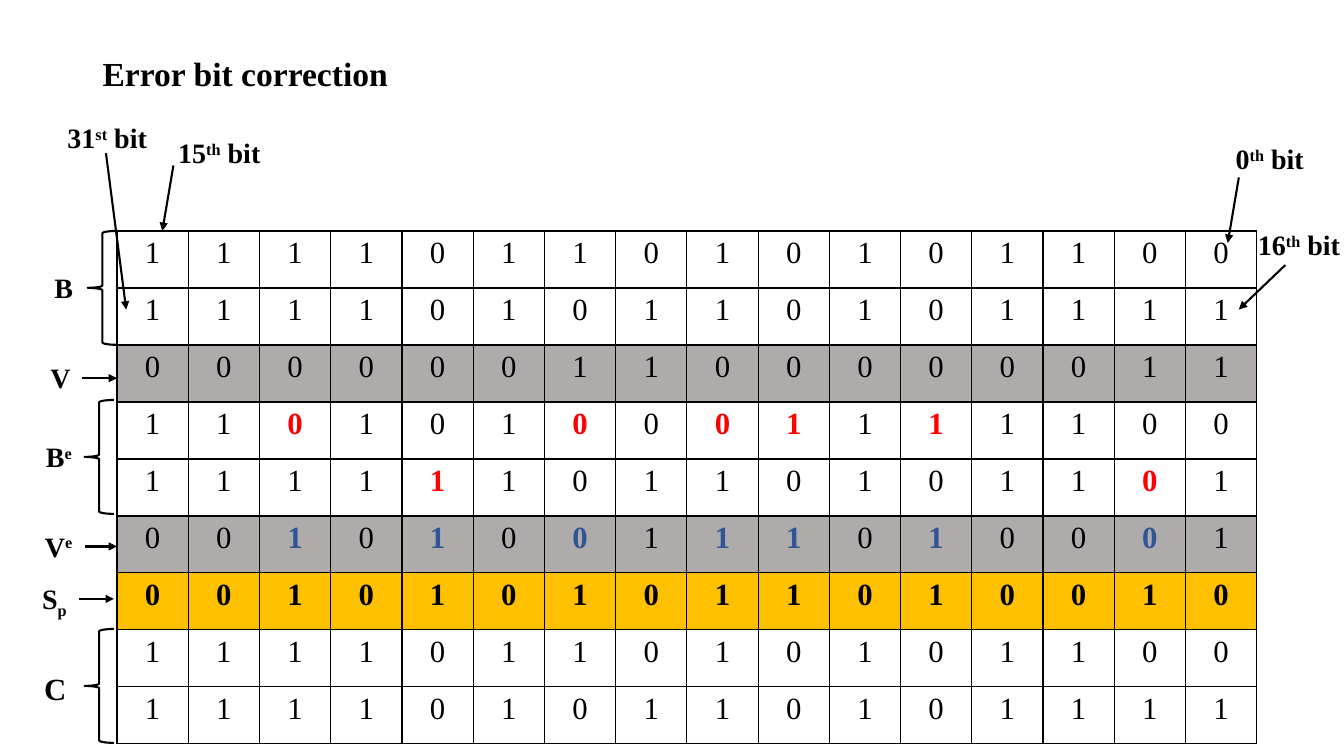
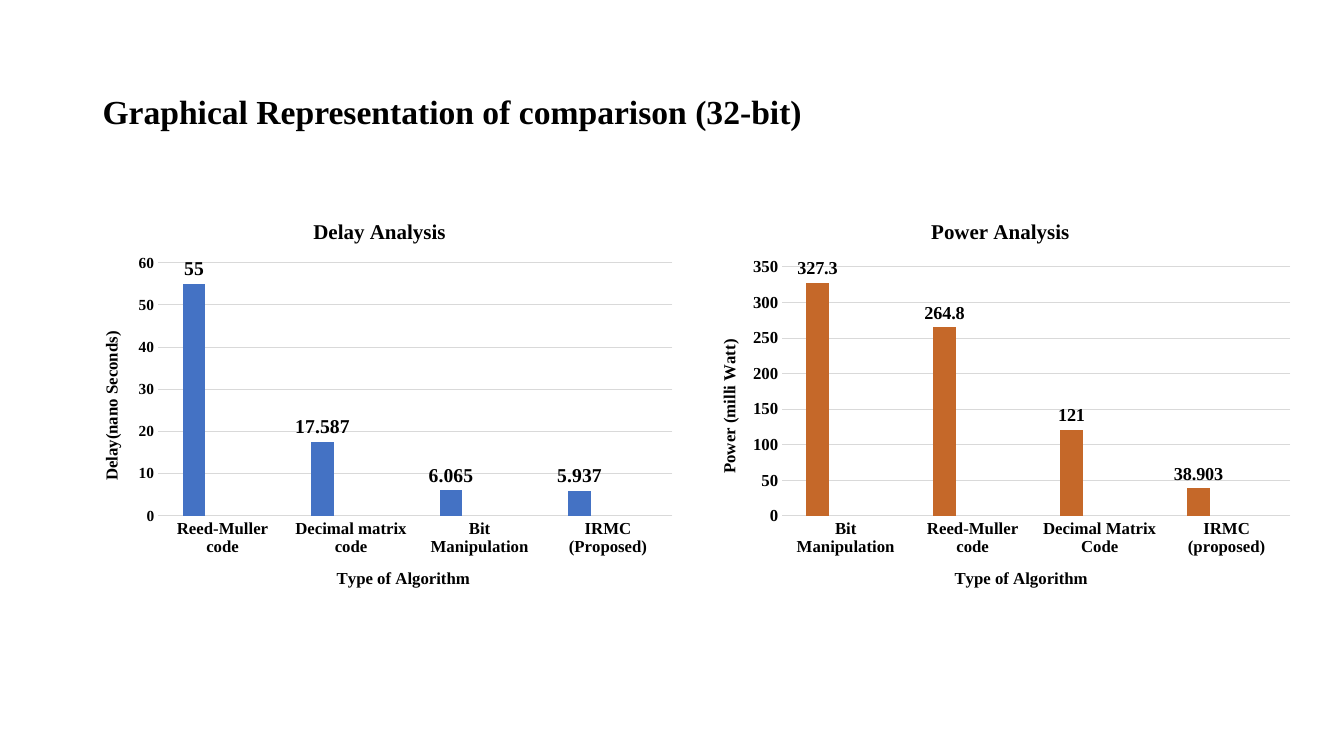
from dataclasses import dataclass

from pptx import Presentation
from pptx.chart.data import CategoryChartData
from pptx.dml.color import RGBColor
from pptx.enum.chart import XL_CHART_TYPE as CHART, XL_LABEL_POSITION as LABEL, XL_TICK_MARK as TICK
from pptx.enum.shapes import MSO_CONNECTOR as LINE, MSO_SHAPE as SHAPE
from pptx.enum.text import MSO_ANCHOR as ANCHOR, MSO_AUTO_SIZE as AUTO, PP_ALIGN as ALIGN
from pptx.oxml import parse_xml
from pptx.oxml.ns import nsdecls, qn
from pptx.util import Cm, Pt


@dataclass(frozen=True)
class Theme:
    font: str = "Times New Roman"
    chart_font: str = "Calibri"
    ink: str = "000000"
    parity: str = "AFABAB"
    syndrome: str = "FFC000"
    error: str = "FF0000"
    changed: str = "2F5597"
    grid: str = "D9D9D9"
    delay: str = "4472C4"
    power: str = "C56829"
    spare: tuple = ("ED7D31", "A5A5A5")
    title: int = 24
    cell: int = 22
    label: int = 20
    chart_title: int = 15
    axis: int = 12
    chart_base: int = 10
    stroke: float = 1.5
    border: float = 1
    hairline: float = 0.75


def rgb(value):
    return RGBColor.from_string(value)


def set_layout(parent, index, x, y, w=None, h=None):
    for old in parent.findall(qn("c:layout")):
        parent.remove(old)
    inner = '<c:layoutTarget val="inner"/>' if w else ""
    size = f'<c:w val="{w}"/><c:h val="{h}"/>' if w else ""
    parent.insert(index, parse_xml(
        f'<c:layout {nsdecls("c")}><c:manualLayout>{inner}<c:xMode val="edge"/>'
        f'<c:yMode val="edge"/><c:x val="{x}"/><c:y val="{y}"/>{size}'
        '</c:manualLayout></c:layout>'))


class Deck:
    def __init__(self, theme):
        self.theme = theme
        self.prs = Presentation()
        self.prs.slide_width, self.prs.slide_height = Cm(33.87), Cm(19.05)
        self.slide = None

    def style(self, font, size, color=None, bold=True):
        font.name, font.size, font.bold = self.theme.font, Pt(size), bold
        font.color.rgb = rgb(color or self.theme.ink)

    def new_slide(self, title, top, height):
        self.slide = self.prs.slides.add_slide(self.prs.slide_layouts[5])
        sp = self.slide.shapes.title
        sp.left, sp.top, sp.width, sp.height = Cm(2.33), Cm(top), Cm(29.21), Cm(height)
        tf = sp.text_frame
        tf.text = title
        tf.word_wrap, tf.auto_size, tf.vertical_anchor = True, AUTO.NONE, ANCHOR.MIDDLE
        p = tf.paragraphs[0]
        p.alignment, p.line_spacing = ALIGN.LEFT, 0.9
        self.style(p.runs[0].font, self.theme.title)

    def label(self, x, y, w, parts, size=None):
        size = size or self.theme.label
        box = self.slide.shapes.add_textbox(Cm(x), Cm(y), Cm(w), Cm(1.12))
        tf = box.text_frame
        tf.word_wrap, tf.auto_size = False, AUTO.SHAPE_TO_FIT_TEXT
        for text, baseline in parts:
            r = tf.paragraphs[0].add_run()
            r.text = text
            self.style(r.font, size)
            if baseline:
                r._r.get_or_add_rPr().set("baseline", str(baseline * 1000))
        return box

    def arrow(self, start, end, source=None):
        line = self.slide.shapes.add_connector(LINE.STRAIGHT, *map(Cm, start + end))
        if source is not None:
            line.begin_connect(source, 3)
        line.line.color.rgb = rgb(self.theme.ink)
        line.line.width = Pt(self.theme.stroke)
        line.line._get_or_add_ln().append(parse_xml(f'<a:tailEnd {nsdecls("a")} type="triangle"/>'))
        line._element.spPr.append(parse_xml(f'<a:effectLst {nsdecls("a")}/>'))

    def brace(self, x, y):
        sp = self.slide.shapes.add_shape(SHAPE.LEFT_BRACE, Cm(x), Cm(y), Cm(0.74), Cm(2.87))
        sp.shadow.inherit = False
        sp.fill.background()
        sp.line.color.rgb = rgb(self.theme.ink)
        sp.line.width = Pt(self.theme.stroke)

    def bit_table(self, x, y, w, h, rows):
        count = len(rows[0][0])
        table = self.slide.shapes.add_table(len(rows), count, Cm(x), Cm(y), Cm(w), Cm(h)).table
        table.first_row = table.horz_banding = False
        for column in table.columns:
            column.width = Cm(w / count)
        for i, (bits, fill, marks, mark_color, bold) in enumerate(rows):
            table.rows[i].height = Cm(h / len(rows))
            for j, bit in enumerate(bits):
                marked = j in marks
                self.bit_cell(table.cell(i, j), bit, fill,
                              mark_color if marked else self.theme.ink, bold or marked)

    def bit_cell(self, cell, bit, fill, color, bold):
        cell.text_frame.text = bit
        p = cell.text_frame.paragraphs[0]
        p.alignment = ALIGN.CENTER
        self.style(p.runs[0].font, self.theme.cell, color, bold)
        tcPr = cell._tc.get_or_add_tcPr()
        for side in ("lnL", "lnR", "lnT", "lnB"):
            tcPr.append(parse_xml(
                f'<a:{side} {nsdecls("a")} w="{Pt(self.theme.border)}"><a:solidFill>'
                f'<a:srgbClr val="{self.theme.ink}"/></a:solidFill></a:{side}>'))
        if fill:
            cell.fill.solid()
            cell.fill.fore_color.rgb = rgb(fill)
        else:
            cell.fill.background()

    def chart_text(self, title, text, size, place):
        title.text_frame.text = text
        self.style(title.text_frame.paragraphs[0].runs[0].font, size)
        set_layout(title._element, 1, *place)

    def column_chart(self, x, title, unit, points, color, top, step,
                     label_size, tick_size, plot, places):
        t = self.theme
        data = CategoryChartData()
        data.categories = list(points)
        data.add_series("Series 1", list(points.values()))
        for n in (2, 3):
            data.add_series(f"Series {n}", [None] * len(points))
        chart = self.slide.shapes.add_chart(
            CHART.COLUMN_CLUSTERED, Cm(x), Cm(5.08), Cm(15.24), Cm(10.29), data).chart
        chart.font.name, chart.font.size = t.chart_font, Pt(t.chart_base)
        chart.font.color.rgb = rgb(t.ink)
        chart.has_legend = False
        chart.has_title = True
        bars = chart.plots[0]
        bars.gap_width, bars.overlap, bars.vary_by_categories = 219, -27, False
        for series, fill in zip(bars.series, (color, *t.spare)):
            series.format.fill.solid()
            series.format.fill.fore_color.rgb = rgb(fill)
        labels = bars.series[0].data_labels
        labels.show_value, labels.position = True, LABEL.OUTSIDE_END
        self.style(labels.font, label_size)

        cat, val = chart.category_axis, chart.value_axis
        val.minimum_scale, val.maximum_scale, val.major_unit = 0, top, step
        val.has_major_gridlines = True
        for axis, size in ((cat, t.axis), (val, tick_size)):
            axis.major_tick_mark = axis.minor_tick_mark = TICK.NONE
            self.style(axis.tick_labels.font, size)
        for line in (cat.format.line, val.major_gridlines.format.line):
            line.color.rgb = rgb(t.grid)
            line.width = Pt(t.hairline)
        val.format.line.fill.background()
        titles = ((chart.chart_title, title, t.chart_title),
                  (cat.axis_title, "Type of Algorithm", t.axis),
                  (val.axis_title, unit, t.axis))
        for (item, text, size), place in zip(titles, places):
            self.chart_text(item, text, size, place)
        body = val.axis_title.text_frame._txBody.bodyPr
        body.set("rot", "-5400000")
        body.set("vert", "horz")
        set_layout(chart._chartSpace.chart.plotArea, 0, *plot)


def xor(a, b):
    return "".join(str(int(m != n)) for m, n in zip(a, b))


def ones(bits):
    return {i for i, bit in enumerate(bits) if bit == "1"}


def correction_slide(deck):
    t = deck.theme
    deck.new_slide("Error bit correction", 0.46, 2.87)
    sent = ["1111011010101100", "1111010110101111"]
    received = ["1101010001111100", "1111110110101101"]
    parity, received_parity = xor(*sent), xor(*received)
    syndrome = xor(parity, received_parity)
    plain = [(bits, None, (), t.ink, False) for bits in sent]
    errors = [(bits, None, ones(xor(bits, good)), t.error, False)
              for bits, good in zip(received, sent)]
    left, top = 2.95, 5.82
    deck.bit_table(left, top, 28.73, 12.93, [
        *plain,
        (parity, t.parity, (), t.ink, False),
        *errors,
        (received_parity, t.parity, ones(syndrome), t.changed, False),
        (syndrome, t.syndrome, (), t.ink, True),
        *plain])

    for x, y in ((2.21, top), (2.13, 10.08), (2.13, 15.85)):
        deck.brace(x, y)
    deck.label(1.12, 6.68, 0.99, [("B", 0)])
    deck.label(0.91, 10.95, 1.19, [("B", 0), ("e", 30)])
    deck.label(0.86, 16.76, 1.07, [("C", 0)], t.cell)

    for x, y, w, end, parts in (
            (1.02, 8.97, 1.04, left, [("V", 0)]),
            (0.88, 13.21, 1.27, left, [("V", 0), ("e", 30)]),
            (0.81, 14.53, 1.17, 2.87, [("S", 0), ("p", -25)])):
        box = deck.label(x, y, w, parts)
        middle = y + 0.56
        deck.arrow((x + w, middle), (end, middle), box)

    for x, y, w, number, suffix, start, end in (
            (30.89, 3.45, 2.29, "0", "th", (31.22, 4.47), (30.94, 6.12)),
            (4.24, 3.3, 2.67, "15", "th", (4.37, 4.17), (4.09, top)),
            (31.45, 5.61, 2.67, "16", "th", (32.39, 6.68), (31.22, 7.8)),
            (1.45, 2.92, 2.59, "31", "st", (2.67, 3.86), (3.18, 7.8))):
        deck.label(x, y, w, [(number, 0), (suffix, 30), (" bit", 0)])
        deck.arrow(start, end)


def comparison_slide(deck):
    t = deck.theme
    deck.new_slide("Graphical Representation of comparison (32-bit)", 1.02, 3.68)
    deck.column_chart(
        2.01, "Delay Analysis", "Delay(nano Seconds)",
        {"Reed-Muller code": 55, "Decimal matrix code": 17.587,
         "Bit Manipulation": 6.065, "IRMC (Proposed)": 5.937},
        t.delay, 60, 10, 14, 11, (0.13, 0.15, 0.85, 0.62),
        ((0.38, 0.03), (0.42, 0.89), (0.03, 0.31)))
    deck.column_chart(
        17.58, "Power Analysis", "Power (milli Watt)",
        {"Bit Manipulation": 327.3, "Reed-Muller code": 264.8,
         "Decimal Matrix Code": 121, "IRMC (proposed)": 38.903},
        t.power, 350, 50, 13, 12, (0.14, 0.16, 0.84, 0.61),
        ((0.38, 0.03), (0.42, 0.89), (0.03, 0.33)))


def main():
    deck = Deck(Theme())
    correction_slide(deck)
    comparison_slide(deck)
    deck.prs.save("out.pptx")


if __name__ == "__main__":
    main()
